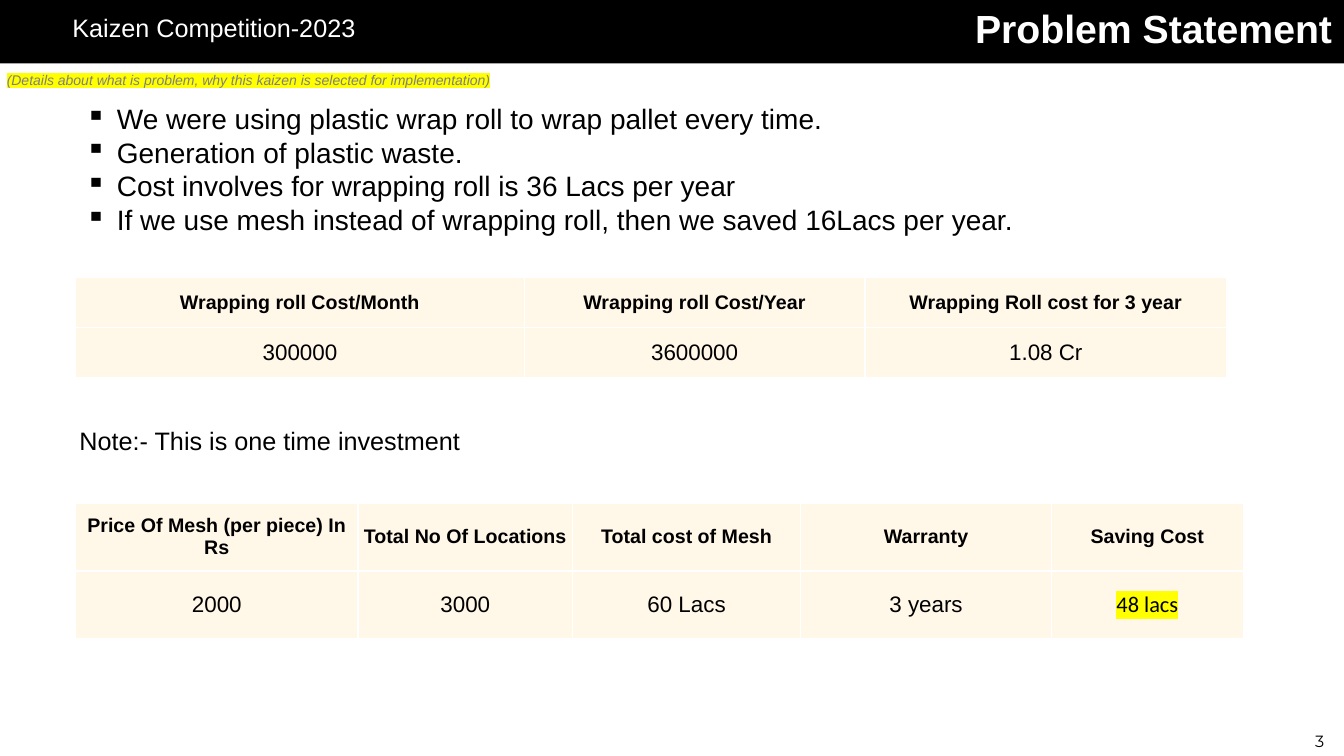
from lxml import etree
from pptx import Presentation
from pptx.dml.color import RGBColor
from pptx.enum.shapes import MSO_SHAPE
from pptx.enum.text import MSO_ANCHOR, PP_ALIGN
from pptx.oxml.ns import qn
from pptx.util import Inches, Pt

RECT = MSO_SHAPE.RECTANGLE
MID = MSO_ANCHOR.MIDDLE
LEFT, CENTER, RIGHT = PP_ALIGN.LEFT, PP_ALIGN.CENTER, PP_ALIGN.RIGHT
BLACK = RGBColor(0, 0, 0)
WHITE = RGBColor(255, 255, 255)
GREY = RGBColor(128, 128, 128)
CREAM = RGBColor(0xFF, 0xF7, 0xE7)
YELLOW = RGBColor(255, 255, 0)
WIDE, HIGH = Inches(13.33), Inches(7.5)
HANG = Inches(0.31)

POINTS = [
    "We were using plastic wrap roll to wrap pallet every time.",
    "Generation of plastic waste.",
    "Cost involves for wrapping roll is 36 Lacs per year",
    "If we use mesh instead of wrapping roll, then we saved 16Lacs per year.",
]
ROLL = [
    ["Wrapping roll Cost/Month", "Wrapping roll Cost/Year", "Wrapping Roll cost for 3 year"],
    ["300000", "3600000", "1.08 Cr"],
]
MESH = [
    ["Price Of Mesh (per piece) In Rs", "Total No Of Locations",
     "Total cost of Mesh", "Warranty", "Saving Cost"],
    ["2000", "3000", "60 Lacs", "3 years", "48 lacs"],
]


def part(box, x, y, w, h):
    left, top, wide, high = box
    return (round(left + wide * x / 100), round(top + high * y / 100),
            round(wide * w / 100), round(high * h / 100))


def paint(node, tag, color):
    fill = etree.SubElement(node, qn(tag))
    etree.SubElement(fill, qn("a:srgbClr"), val=str(color))


def write(frame, text, size=18, color=BLACK, face="Arial", bold=False,
          italic=False, align=LEFT, mark=None, bullet=None):
    frame.word_wrap = True
    for i, line in enumerate(text.split("\n")):
        para = frame.paragraphs[0] if i == 0 else frame.add_paragraph()
        para.alignment = align
        if bullet:
            props = para._p.get_or_add_pPr()
            props.set("marL", str(HANG))
            props.set("indent", str(-HANG))
            etree.SubElement(props, qn("a:buChar"), char=bullet)
        run = para.add_run()
        run.text = line
        font = run.font
        font.size, font.bold, font.italic = Pt(size), bold, italic
        font.color.rgb = color
        if mark is not None:
            paint(run._r.get_or_add_rPr(), "a:highlight", mark)
        font.name = face


def label(slide, box, text, **style):
    write(slide.shapes.add_textbox(*box).text_frame, text, **style)


def edge(cell):
    props = cell._tc.get_or_add_tcPr()
    for side in "LRTB":
        line = etree.SubElement(props, qn("a:ln" + side), w=str(Pt(1)))
        paint(line, "a:solidFill", WHITE)


def grid(slide, box, rows, widths, last):
    table = slide.shapes.add_table(len(rows), len(widths), *box).table
    table.first_row = table.horz_banding = False
    for col, width in zip(table.columns, widths):
        col.width = round(box[2] * width / sum(widths))
    for r, row in enumerate(rows):
        table.rows[r].height = box[3] // len(rows)
        for c, text in enumerate(row):
            cell = table.cell(r, c)
            edge(cell)
            cell.fill.solid()
            cell.fill.fore_color.rgb = CREAM
            cell.vertical_anchor = MID
            cell.margin_left = cell.margin_right = 0
            cell.margin_top = cell.margin_bottom = 0
            style = last if (r, c) == (len(rows) - 1, len(widths) - 1) else {}
            write(cell.text_frame, text, size=16 if r else 14,
                  bold=r == 0, align=CENTER, **style)


def header(slide, box):
    bar = slide.shapes.add_shape(RECT, *box)
    bar.shadow.inherit = False
    bar.fill.solid()
    bar.fill.fore_color.rgb = BLACK
    bar.line.fill.background()
    label(slide, part(box, 4.65, 11, 24.4, 63), "Kaizen Competition-2023", color=WHITE)
    label(slide, part(box, 69.84, -1.5, 30, 90), "Problem Statement",
          size=28, color=WHITE, bold=True, align=RIGHT)
    label(slide, part(box, -0.23, 104.8, 100, 43),
          "(Details about what is problem, why this kaizen is selected for implementation)",
          size=10, color=GREY, italic=True, mark=YELLOW)


def body(slide, box):
    label(slide, part(box, 0, 0, 104.3, 64.5), "\n".join(POINTS), size=20, bullet="▪")
    label(slide, part(box, -0.52, 59.67, 41.8, 7.43), "Note:- This is one time investment")
    grid(slide, part(box, 0, 33.28, 98.6, 18.59), ROLL, [4.45, 3.38, 3.59], {})
    grid(slide, part(box, 0, 74.9, 100, 25.1), MESH, [2.8, 2.13, 2.26, 2.49, 1.9],
         {"face": "Calibri", "mark": YELLOW})


def footer(slide, box):
    label(slide, box, "3", size=11.6, face="Montserrat", align=CENTER)


def main():
    deck = Presentation()
    deck.slide_width, deck.slide_height = WIDE, HIGH
    slide = deck.slides.add_slide(deck.slide_layouts[6])
    page = (0, 0, WIDE, HIGH)
    header(slide, part(page, 0, 0, 100, 8.4))
    body(slide, part(page, 5.63, 12.8, 86.87, 71.73))
    footer(slide, part(page, 96.25, 96.13, 3.9, 4))
    deck.save("out.pptx")


if __name__ == "__main__":
    main()
